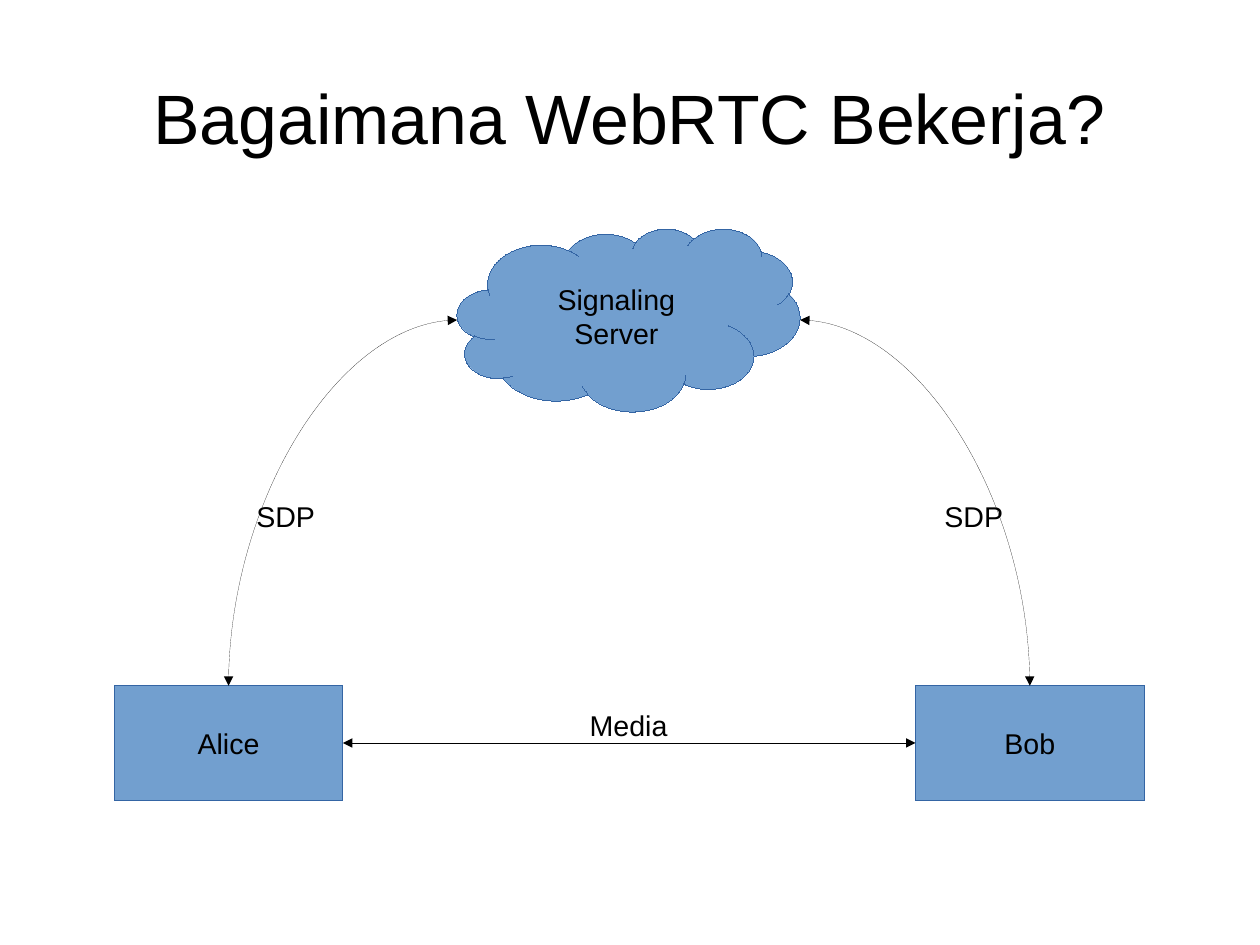
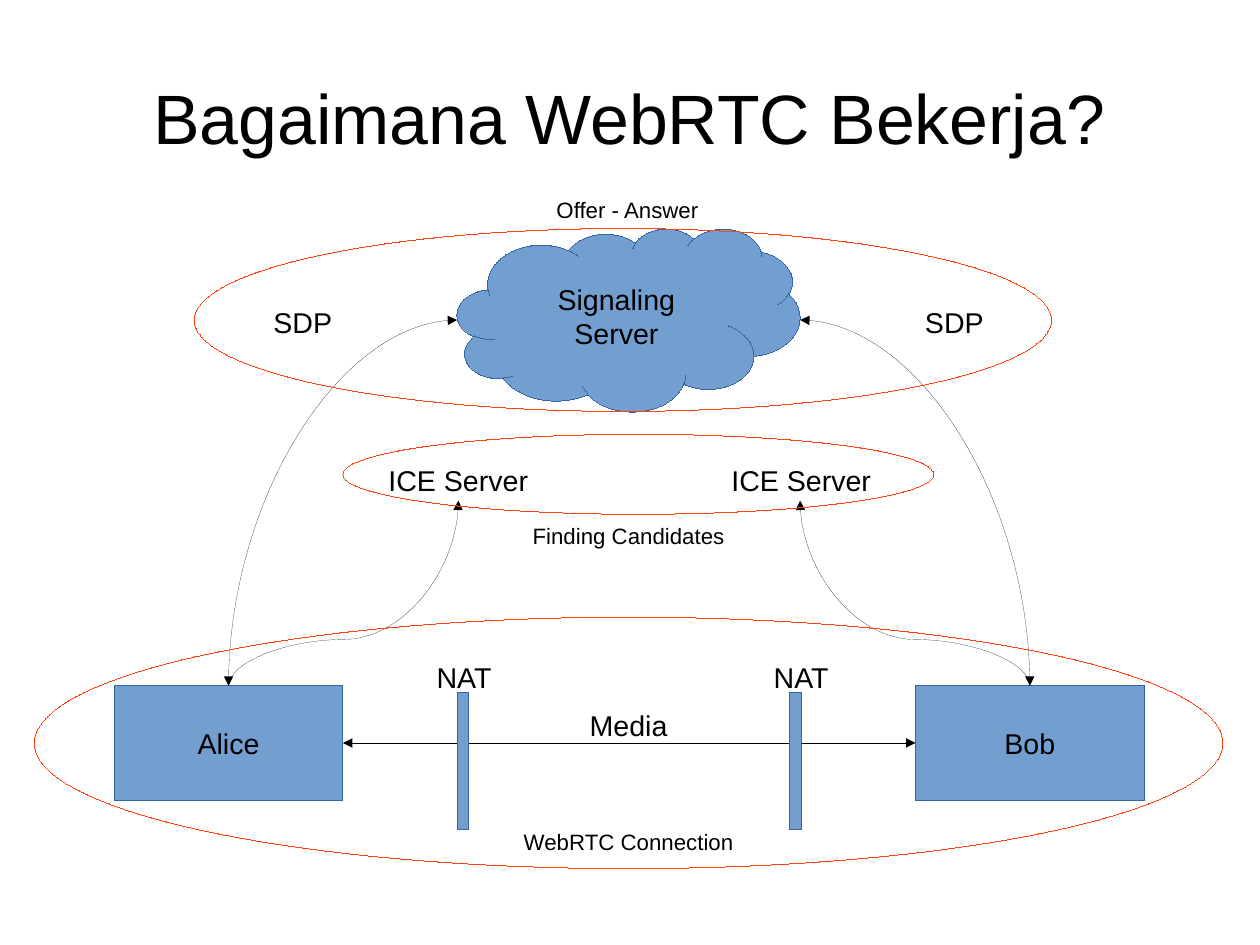
from lxml import etree
from pptx import Presentation
from pptx.dml.color import RGBColor
from pptx.enum import shapes, text
from pptx.oxml.ns import qn
from pptx.util import Cm, Inches, Pt

BLACK = RGBColor(0x00, 0x00, 0x00)
BLUE = RGBColor(0x72, 0x9F, 0xCF)
EDGE = RGBColor(0x34, 0x65, 0xA4)
RED = RGBColor(0xFF, 0x42, 0x0E)
FONT = "Arial"
RECT = shapes.MSO_SHAPE.RECTANGLE
OVAL = shapes.MSO_SHAPE.OVAL
CLOUD = shapes.MSO_SHAPE.CLOUD
LINE = shapes.MSO_CONNECTOR.STRAIGHT
CURVE = shapes.MSO_CONNECTOR.CURVE

TITLE = "Bagaimana WebRTC Bekerja?"
TITLE_BOX = (0.55, 0.33, 9.92, 1.38)
ALICE = ("Alice", RECT, (1, 6, 2, 1))
BOB = ("Bob", RECT, (8.01, 6, 2, 1))
SERVER = ("Signaling\nServer", CLOUD, (4, 2, 3, 1.6))
BARS = [(4, 6.06, 0.1, 1.2), (6.91, 6.06, 0.1, 1.2)]
RINGS = [(3, 3.8, 5.17, 0.7), (1.7, 2, 7.5, 1.6), (0.3, 5.4, 10.4, 2.2)]
SIGNAL = [((4, 2.8), (2, 6)), ((7, 2.8), (9.01, 6))]
SEARCH = [((2, 6), (4.01, 4.38)), ((9.01, 6), (7, 4.38))]
MEDIA = ("Media", 5.5, 6.14, 18)
PLAIN = [MEDIA, ("SDP", 2.5, 4.32, 18), ("SDP", 8.52, 4.32, 18)]
FULL = [
    MEDIA,
    ("SDP", 2.65, 2.62, 18), ("SDP", 8.35, 2.62, 18),
    ("NAT", 4.06, 5.72, 18), ("NAT", 7.01, 5.72, 18),
    ("ICE Server", 4.01, 4, 18), ("ICE Server", 7.01, 4, 18),
    ("Finding Candidates", 5.5, 4.52, 14),
    ("Offer - Answer", 5.49, 1.67, 14),
    ("WebRTC Connection", 5.5, 7.2, 14),
]
SLIDES = [
    dict(labels=PLAIN, bars=[], search=[], rings=[]),
    dict(labels=FULL, bars=BARS, search=SEARCH, rings=RINGS),
]


def inch(vals):
    return [Inches(v) for v in vals]


def write(frame, words, size, anchor):
    frame.text = words
    frame.vertical_anchor = anchor
    for par in frame.paragraphs:
        par.alignment = text.PP_ALIGN.CENTER
        for key, val in dict(name=FONT, size=Pt(size)).items():
            setattr(par.font, key, val)
        par.font.color.rgb = BLACK


def stroke(item, color):
    item.line.color.rgb = color
    line = item._element.spPr.find(qn("a:ln"))
    line.set("w", "0")
    return line


def shape(slide, kind, box, edge=EDGE, fill=BLUE, words=""):
    item = slide.shapes.add_shape(kind, *inch(box))
    item.shadow.inherit = False
    if fill is None:
        item.fill.background()
    else:
        item.fill.solid()
        item.fill.fore_color.rgb = fill
    stroke(item, edge)
    if words:
        item.text_frame.word_wrap = False
        write(item.text_frame, words, 18, text.MSO_ANCHOR.MIDDLE)
    return item


def link(slide, kind, start, end, heads=("headEnd", "tailEnd")):
    item = slide.shapes.add_connector(kind, *inch(start + end))
    line = stroke(item, BLACK)
    for head in heads:
        etree.SubElement(line, qn("a:" + head), type="triangle")
    etree.SubElement(item._element.spPr, qn("a:effectLst"))
    return item


def arc(slide, start, end):
    item = link(slide, CURVE, start, end)
    item._element.spPr.find(qn("a:prstGeom")).set("prst", "curvedConnector2")


def bend(slide, start, end):
    (ax, ay), (bx, by) = start, end
    midx, midy = (ax + bx) / 2, (ay + by) / 2
    side = 1 if bx > ax else -1
    dx, dy = side * abs(by - ay) / 2, abs(bx - ax) / 2
    item = link(slide, CURVE, (midx + dx, midy + dy), (midx - dx, midy - dy), ["tailEnd"])
    props = item._element.spPr
    props.find(qn("a:xfrm")).set("rot", str((90 if side > 0 else 270) * 60000))
    geom = props.find(qn("a:prstGeom"))
    guides = geom.find(qn("a:avLst"))
    if guides is None:
        guides = etree.SubElement(geom, qn("a:avLst"))
    etree.SubElement(guides, qn("a:gd"), name="adj1", fmla="val 25000")


def label(slide, words, mid, top, size):
    wide = 2.1
    box = slide.shapes.add_textbox(*inch((mid - wide / 2, top, wide, size / 48)))
    box.text_frame.word_wrap = True
    write(box.text_frame, words, size, text.MSO_ANCHOR.TOP)


def build(deck, layout, labels, bars, search, rings):
    slide = deck.slides.add_slide(layout)
    frame = slide.shapes.title.text_frame
    for side in ("left", "top", "right", "bottom"):
        setattr(frame, "margin_" + side, 0)
    write(frame, TITLE, 44, text.MSO_ANCHOR.MIDDLE)
    alice, bob, _ = [shape(slide, kind, box, words=words)
                     for words, kind, box in (ALICE, BOB, SERVER)]
    media = link(slide, LINE, (3, 6.5), (8.01, 6.5))
    media.begin_connect(alice, 3)
    media.end_connect(bob, 1)
    for ends in SIGNAL:
        arc(slide, *ends)
    for box in bars:
        shape(slide, RECT, box)
    for ends in search:
        bend(slide, *ends)
    for box in rings:
        shape(slide, OVAL, box, RED, None)
    for item in labels:
        label(slide, *item)


def main():
    deck = Presentation()
    deck.slide_width, deck.slide_height = Cm(28), Cm(21)
    layout = deck.slide_layouts[5]
    head = layout.placeholders[0]
    for key, val in zip(("left", "top", "width", "height"), inch(TITLE_BOX)):
        setattr(head, key, val)
    for parts in SLIDES:
        build(deck, layout, **parts)
    deck.save("out.pptx")


if __name__ == "__main__":
    main()
